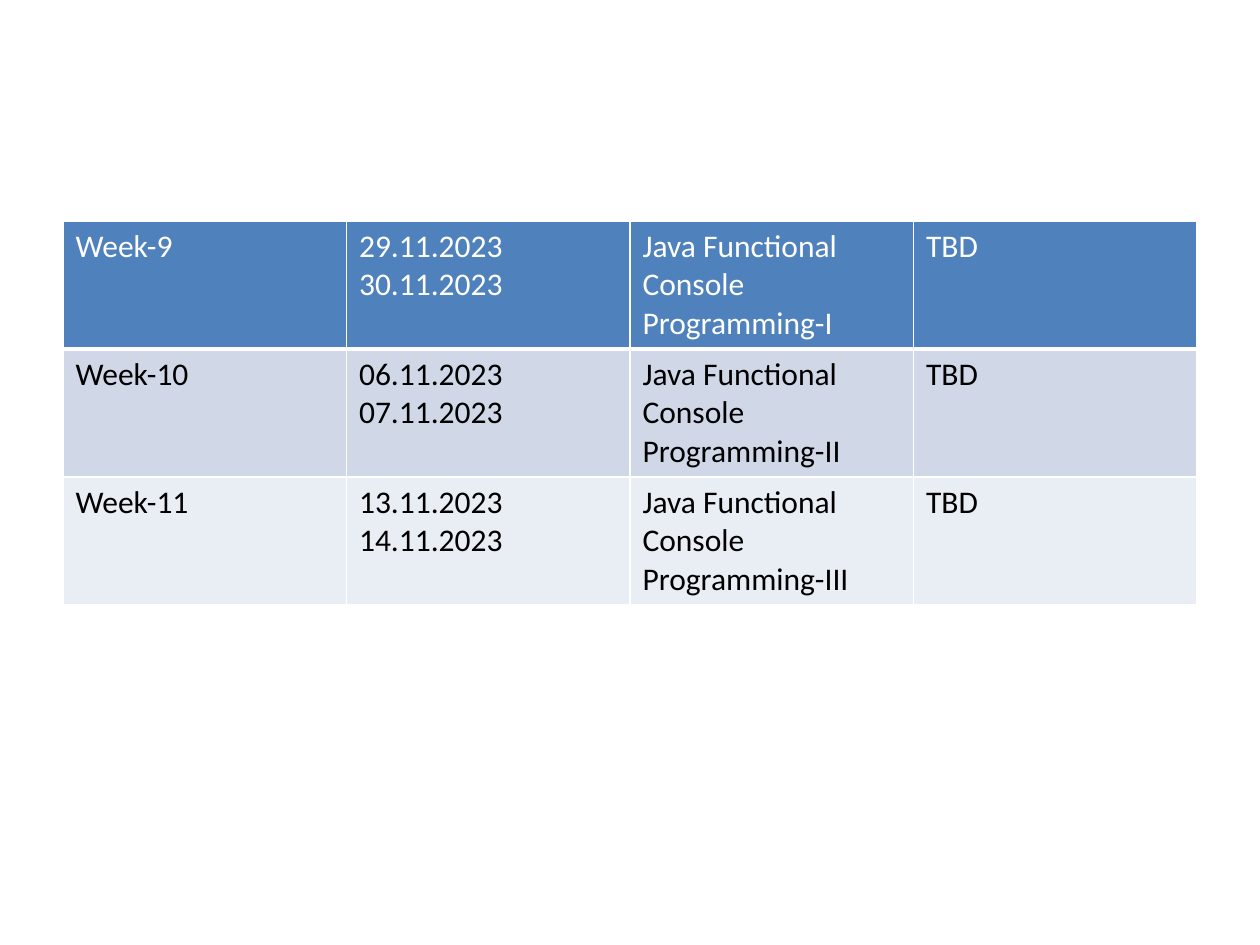
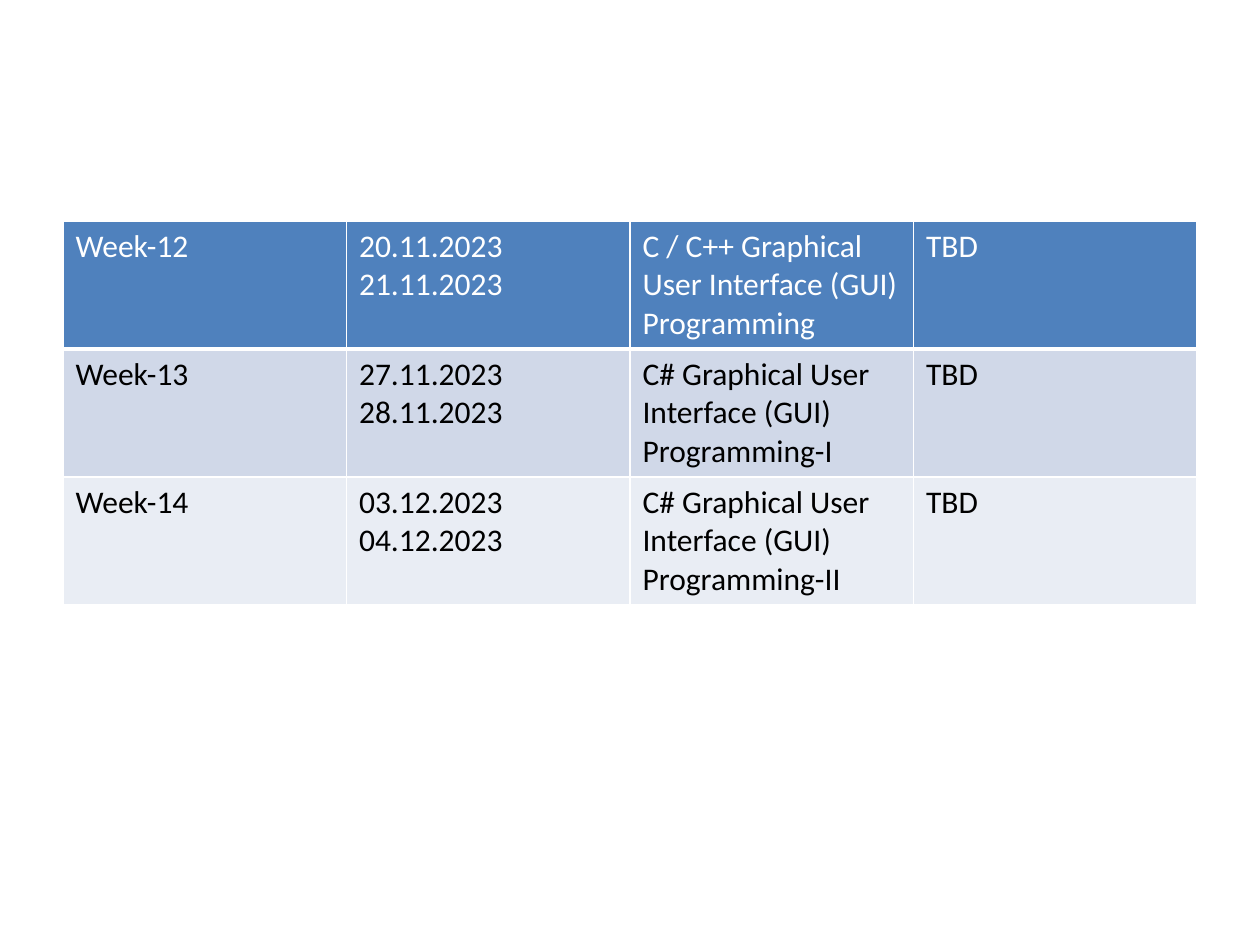
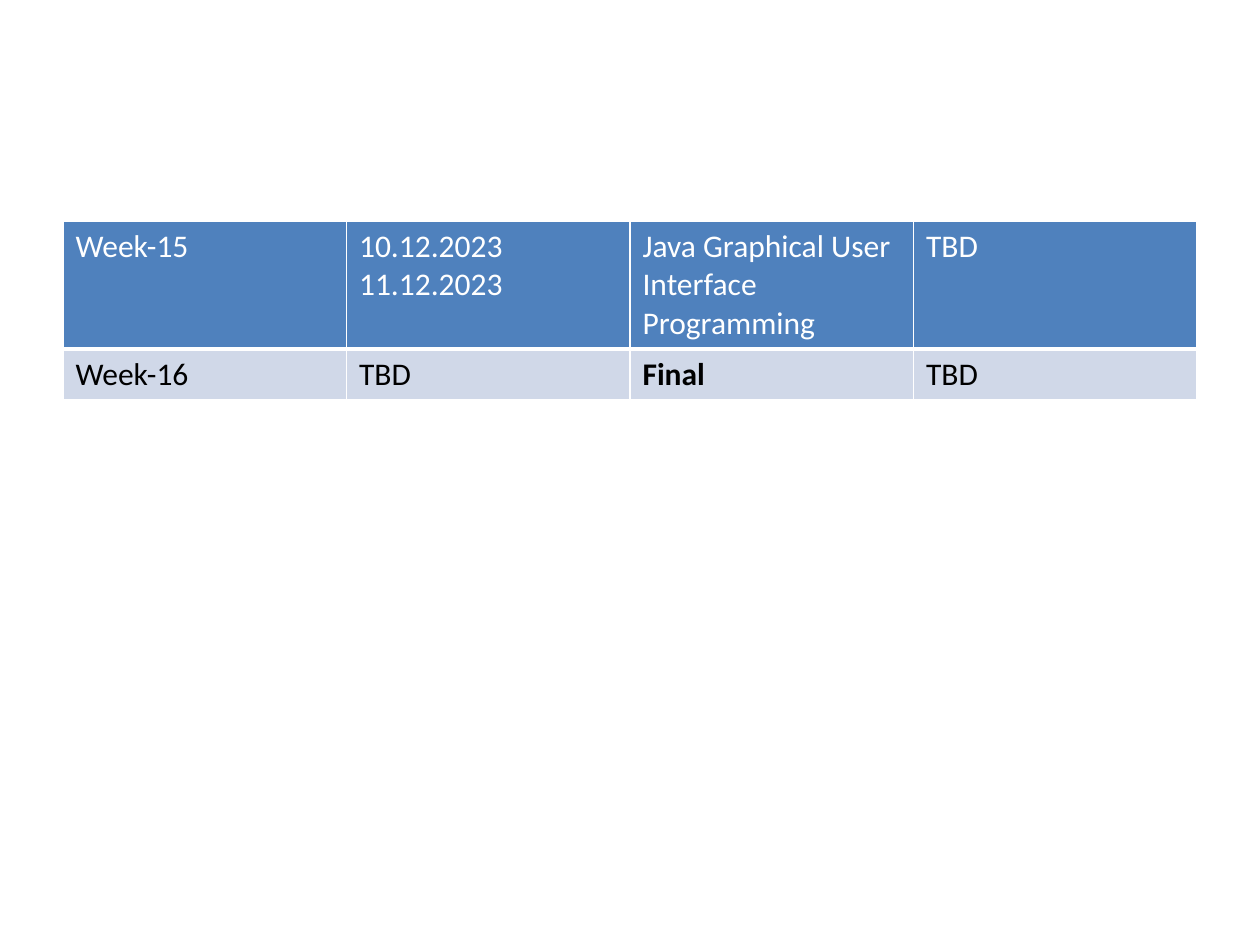
from lxml import etree
from pptx import Presentation
from pptx import util as u
from pptx.dml.color import RGBColor
from pptx.oxml import ns

EMU_PER_PX = 914400 / 126
WHITE = RGBColor(0xFF, 0xFF, 0xFF)
BLACK = RGBColor(0x00, 0x00, 0x00)
HEADER = RGBColor(0x4F, 0x81, 0xBD)
BANDS = (RGBColor(0xD0, 0xD8, 0xE8), RGBColor(0xE9, 0xED, 0xF4))

TABLE_LEFT, TABLE_TOP = 63, 221
TABLE_WIDTH = 1134
TALL_ROW, SHORT_ROW = 128, 51

# Course schedule: week, dates, topic, assignment
SCHEDULE = [
    [
        ("Week-9", "29.11.2023 30.11.2023", "Java Functional Console Programming-I", "TBD"),
        ("Week-10", "06.11.2023 07.11.2023", "Java Functional Console Programming-II", "TBD"),
        ("Week-11", "13.11.2023 14.11.2023", "Java Functional Console Programming-III", "TBD"),
    ],
    [
        ("Week-12", "20.11.2023 21.11.2023", "C / C++ Graphical User Interface (GUI) Programming", "TBD"),
        ("Week-13", "27.11.2023 28.11.2023", "C# Graphical User Interface (GUI) Programming-I", "TBD"),
        ("Week-14", "03.12.2023 04.12.2023", "C# Graphical User Interface (GUI) Programming-II", "TBD"),
    ],
    [
        ("Week-15", "10.12.2023 11.12.2023", "Java Graphical User Interface Programming", "TBD"),
        ("Week-16", "TBD", "Final", "TBD"),
    ],
]


def px(value):
    return u.Emu(round(value * EMU_PER_PX))


class Deck:
    """Shared table style and the slide being filled."""

    font = "Calibri"
    size = u.Pt(18)

    def __init__(self):
        self.prs = Presentation()
        self.prs.slide_width, self.prs.slide_height = px(1260), px(945)
        self.s = None

    def new_slide(self):
        self.s = self.prs.slides.add_slide(self.prs.slide_layouts[6])

    def borders(self, cell, bottom):
        tc_pr = cell._tc.get_or_add_tcPr()
        for side, width in (("L", 1), ("R", 1), ("T", 1), ("B", bottom)):
            ln = etree.SubElement(tc_pr, ns.qn(f"a:ln{side}"), w=str(u.Pt(width)))
            fill = etree.SubElement(ln, ns.qn("a:solidFill"))
            etree.SubElement(fill, ns.qn("a:srgbClr"), val=str(WHITE))

    def cell(self, cell, value, fill, color, bottom):
        self.borders(cell, bottom)
        cell.fill.solid()
        cell.fill.fore_color.rgb = fill
        cell.text_frame.text = value
        font = cell.text_frame.paragraphs[0].runs[0].font
        font.name, font.size = self.font, self.size
        font.color.rgb = color
        font.bold = value == "Final"

    def table(self, rows):
        heights = [SHORT_ROW if "Final" in row else TALL_ROW for row in rows]
        columns = len(rows[0])
        table = self.s.shapes.add_table(
            len(rows), columns, px(TABLE_LEFT), px(TABLE_TOP),
            px(TABLE_WIDTH), px(sum(heights))).table
        for column in table.columns:
            column.width = px(TABLE_WIDTH / columns)
        for i, row in enumerate(rows):
            table.rows[i].height = px(heights[i])
            # The first row is the header, the rest alternate
            style = (HEADER, WHITE, 3) if i == 0 else (BANDS[(i - 1) % 2], BLACK, 1)
            for j, value in enumerate(row):
                self.cell(table.cell(i, j), value, *style)


def main():
    deck = Deck()
    for weeks in SCHEDULE:
        deck.new_slide()
        deck.table(weeks)
    deck.prs.save("out.pptx")


if __name__ == "__main__":
    main()
